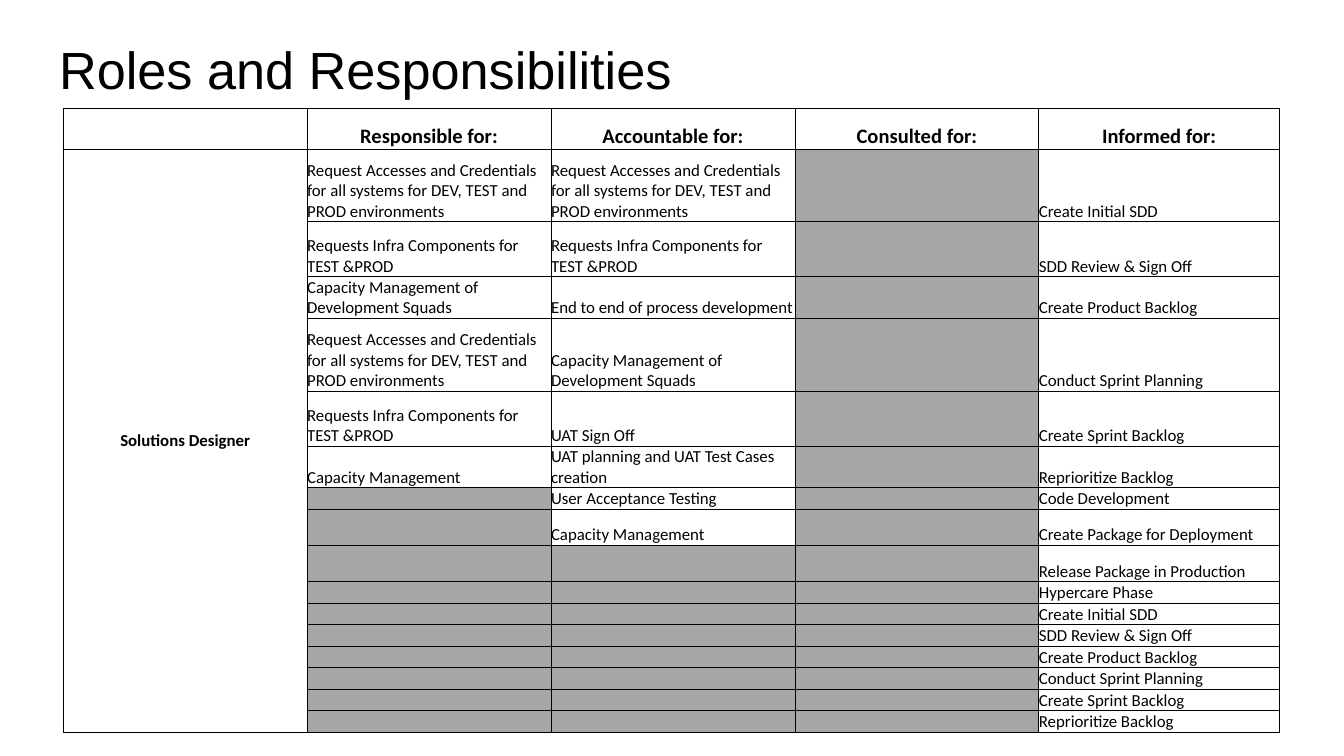
from lxml import etree
from pptx import Presentation
from pptx.dml.color import RGBColor
from pptx.enum import text
from pptx.oxml.ns import qn
from pptx.util import Inches, Pt

BLACK = RGBColor(0x00, 0x00, 0x00)
GREY = RGBColor(0xA6, 0xA6, 0xA6)

ACCESS = "Request Accesses and Credentials for all systems for DEV, TEST and PROD environments"
INFRA = "Requests Infra Components for TEST &PROD"
SQUADS = "Capacity Management of Development Squads"
BACKLOG_STEPS = ["Create Initial SDD", "SDD Review & Sign Off", "Create Product Backlog",
                 "Conduct Sprint Planning", "Create Sprint Backlog", "Reprioritize Backlog"]

ROLE = "Solutions Designer"
DUTIES = {
    "Responsible for:": [ACCESS, INFRA, SQUADS, ACCESS, INFRA, "Capacity Management"],
    "Accountable for:": [ACCESS, INFRA, "End to end of process development", SQUADS,
                         "UAT Sign Off", "UAT planning and UAT Test Cases creation",
                         "User Acceptance Testing", "Capacity Management"],
    "Consulted for:": [],
    "Informed for:": BACKLOG_STEPS + ["Code Development", "Create Package for Deployment",
                                      "Release Package in Production", "Hypercare Phase"]
                     + BACKLOG_STEPS,
}
LAST_COLUMN_WIDTH = 1.79
ROW_HEIGHTS = [0.3] + [0.54, 0.41, 0.31] * 2 + [0.16, 0.27, 0.27] + [0.16] * 7


def write(frame, content, font="Calibri", size=9, bold=False,
          align=text.PP_ALIGN.LEFT):
    paragraph = frame.paragraphs[0]
    paragraph.alignment = align
    if not content:
        # Keep empty cells from stretching their row
        etree.SubElement(paragraph._p, qn("a:endParaRPr"), sz=str(size * 100))
        return
    run = paragraph.add_run()
    run.text = content
    run.font.name, run.font.size, run.font.bold = font, Pt(size), bold
    run.font.color.rgb = BLACK


def outline(cell):
    properties = cell._tc.get_or_add_tcPr()
    for side in ("lnL", "lnR", "lnT", "lnB"):
        line = etree.SubElement(properties, qn(f"a:{side}"), w=str(Pt(0.5)))
        fill = etree.SubElement(line, qn("a:solidFill"))
        etree.SubElement(fill, qn("a:srgbClr"), val=str(BLACK))


def format_cell(cell, content, shaded=False, anchor=text.MSO_ANCHOR.BOTTOM, **style):
    cell.margin_left = cell.margin_right = cell.margin_top = cell.margin_bottom = 0
    cell.vertical_anchor = anchor
    outline(cell)
    if shaded:
        cell.fill.solid()
        cell.fill.fore_color.rgb = GREY
    else:
        cell.fill.background()
    write(cell.text_frame, content, **style)


def add_heading(slide, left, top, width, height):
    heading = slide.shapes.title
    heading.left, heading.top = Inches(left), Inches(top)
    heading.width, heading.height = Inches(width), Inches(height)
    frame = heading.text_frame
    frame.margin_left = frame.margin_right = Inches(0.1)
    frame.margin_top = frame.margin_bottom = Inches(0.1)
    frame.auto_size = text.MSO_AUTO_SIZE.NONE
    frame.vertical_anchor = text.MSO_ANCHOR.TOP
    write(frame, "Roles and Responsibilities", font="Arial", size=28)


def add_duties(slide, left, top, width, height):
    duties = slide.shapes.add_table(len(ROW_HEIGHTS), len(DUTIES) + 1, Inches(left),
                                    Inches(top), Inches(width), Inches(height)).table
    duties.first_row = duties.horz_banding = False
    # The last column is slightly narrower, the others share the rest
    shared_width = (width - LAST_COLUMN_WIDTH) / len(DUTIES)
    column_widths = [shared_width] * len(DUTIES) + [LAST_COLUMN_WIDTH]
    for column, column_width in zip(duties.columns, column_widths):
        column.width = Inches(column_width)
    for row, row_height in zip(duties.rows, ROW_HEIGHTS):
        row.height = Inches(row_height)

    # Role column, one merged cell under the blank corner
    center = text.PP_ALIGN.CENTER
    last = len(ROW_HEIGHTS) - 1
    duties.cell(1, 0).merge(duties.cell(last, 0))
    format_cell(duties.cell(0, 0), "")
    for row in range(1, last + 1):
        format_cell(duties.cell(row, 0), ROLE if row == 1 else "", bold=True,
                    align=center, anchor=text.MSO_ANCHOR.MIDDLE)

    # Duty columns, shaded where no duty is left
    for column, (header, tasks) in enumerate(DUTIES.items(), start=1):
        format_cell(duties.cell(0, column), header, size=11, bold=True, align=center)
        for row in range(1, last + 1):
            task = tasks[row - 1] if row <= len(tasks) else ""
            format_cell(duties.cell(row, column), task, shaded=not task)


def main():
    deck = Presentation()
    # Widescreen, 16:9
    deck.slide_width = Inches(10)
    deck.slide_height = deck.slide_width * 9 // 16
    slide = deck.slides.add_slide(deck.slide_layouts[5])
    add_heading(slide, 0.34, 0.18, 9.32, 0.63)
    add_duties(slide, 0.47, 0.81, 9.05, 4.6)
    deck.save("out.pptx")


if __name__ == "__main__":
    main()
